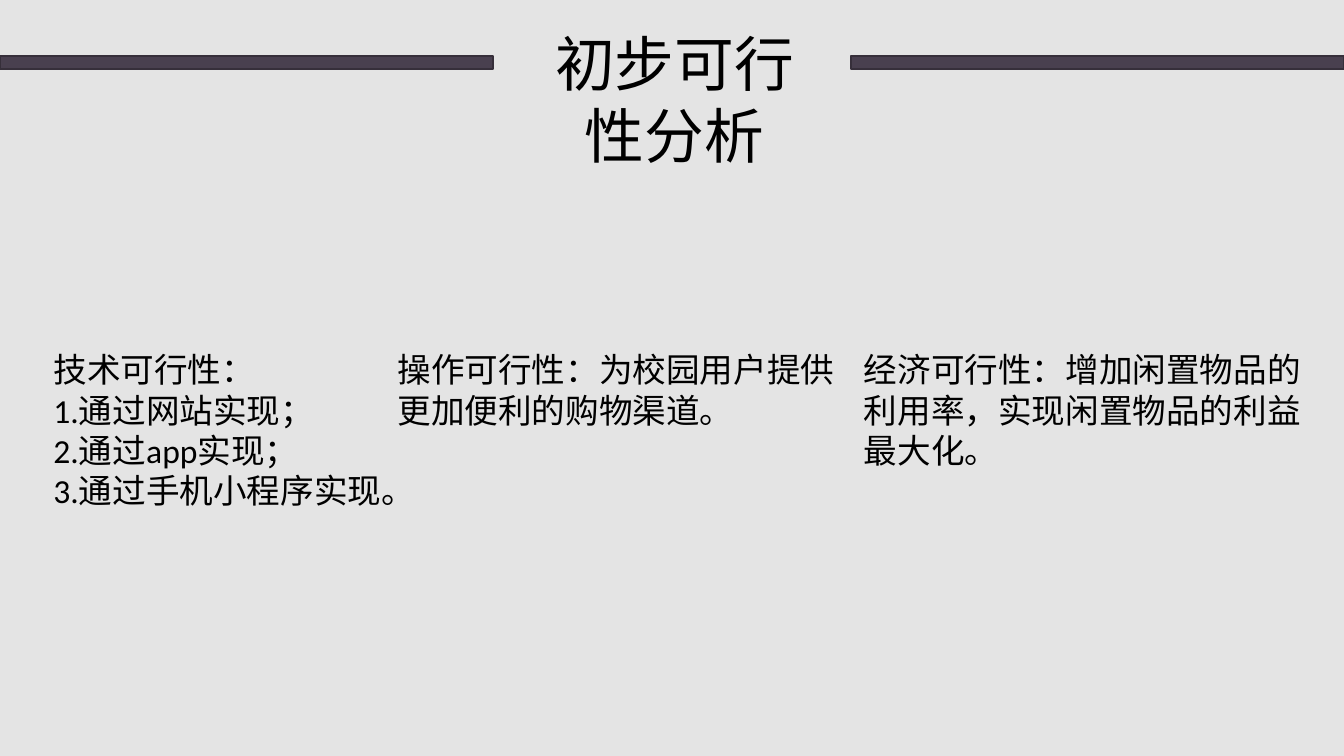
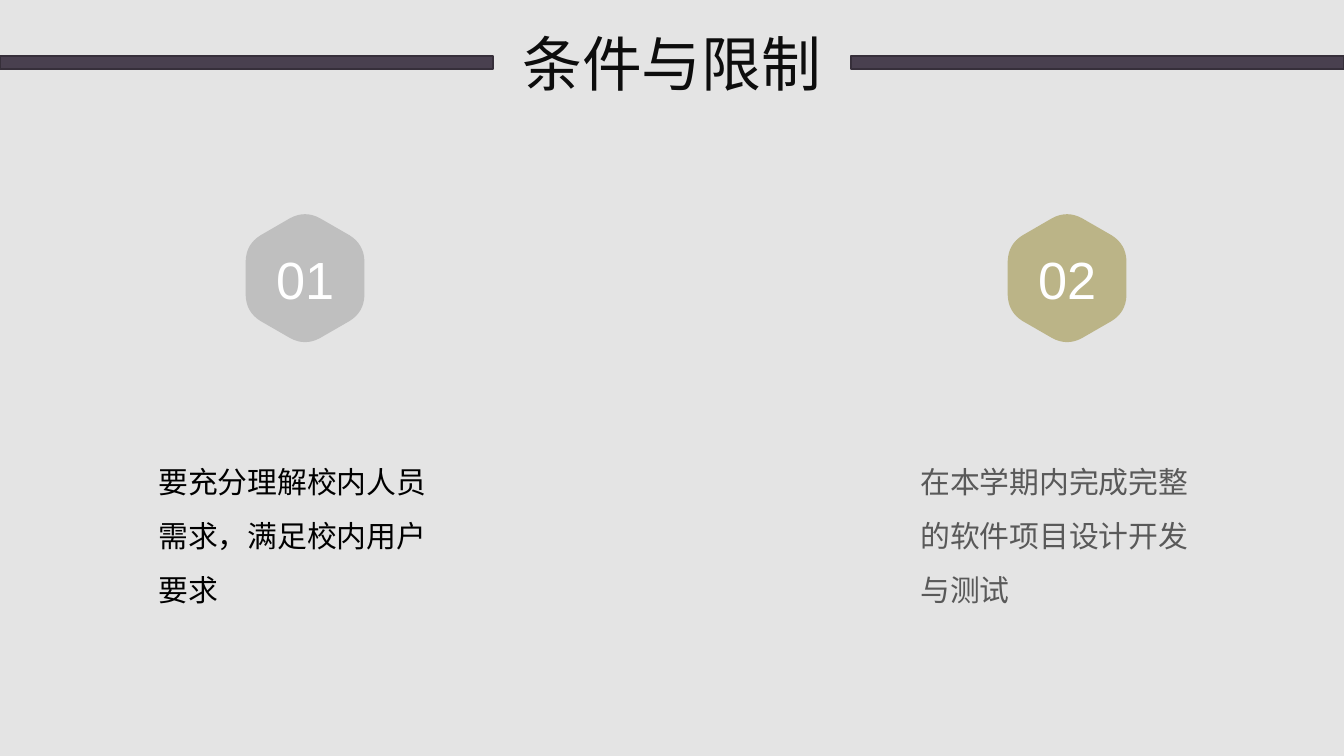
import math
from dataclasses import dataclass

from lxml import etree
from pptx import Presentation
from pptx import util as u
from pptx.dml.color import RGBColor
from pptx.enum import shapes, text
from pptx.oxml import ns


@dataclass(frozen=True)
class Theme:
    veil: str = "D9D9D9"
    veil_alpha: int = 70
    band: str = "49404F"
    band_edge: str = "362F3A"
    ink: str = "000000"
    soft_ink: str = "0D0D0D"
    muted: str = "595959"
    white: str = "FFFFFF"
    silver: str = "BFBFBF"
    khaki: str = "BBB487"
    title_font: str = "Noto Sans CJK SC"
    body_font: str = "Calibri"
    number_font: str = "Arial"
    title_size: int = 32
    number_size: int = 28
    body_size: int = 18
    detail_size: int = 16


THEME = Theme()
SLIDE_WIDTH = 10
SLIDE_HEIGHT = 5.625
BAND_WIDTH = 3.67
BADGE_RADIUS = 0.51
BADGE_ROUNDING = 0.22
BADGE_CENTER_Y = 2.07
DETAIL_WIDTH = 2.39
BADGE_OFFSET = 1.19


def write(frame, lines, font, size, color, **paragraph_format):
    for index, line in enumerate(lines):
        paragraph = frame.paragraphs[0] if index == 0 else frame.add_paragraph()
        paragraph.text = line
        for name, value in paragraph_format.items():
            setattr(paragraph, name, value)
        for run in paragraph.runs:
            for name, value in {"name": font, "size": u.Pt(size)}.items():
                setattr(run.font, name, value)
            run.font.color.rgb = RGBColor.from_string(color)


def add_text(slide, place, lines, font, size, color, **paragraph_format):
    frame = slide.shapes.add_textbox(*map(u.Inches, place)).text_frame
    frame.word_wrap = True
    frame.auto_size = text.MSO_AUTO_SIZE.SHAPE_TO_FIT_TEXT
    write(frame, lines, font, size, color, **paragraph_format)


def fill_plain(shape, color):
    shape.shadow.inherit = False
    shape.fill.solid()
    shape.fill.fore_color.rgb = RGBColor.from_string(color)


def add_rectangle(slide, place, color):
    rectangle = slide.shapes.add_shape(shapes.MSO_SHAPE.RECTANGLE,
                                       *map(u.Inches, place))
    fill_plain(rectangle, color)
    return rectangle


def add_veil(slide):
    veil = add_rectangle(slide, (0, 0, SLIDE_WIDTH, SLIDE_HEIGHT), THEME.veil)
    veil.line.fill.background()
    color = veil.element.xpath("./p:spPr/a:solidFill/a:srgbClr")[0]
    etree.SubElement(color, ns.qn("a:alpha"),
                     val=str(THEME.veil_alpha * 1000))


def add_titled_slide(deck, title, place, color):
    slide = deck.slides.add_slide(deck.slide_layouts[6])
    add_veil(slide)
    for left in (0, SLIDE_WIDTH - BAND_WIDTH):
        band = add_rectangle(slide, (left, 0.415, BAND_WIDTH, 0.1), THEME.band)
        band.line.color.rgb = RGBColor.from_string(THEME.band_edge)
        band.line.width = u.Pt(1)
    add_text(slide, place, [title], THEME.title_font, THEME.title_size, color,
             alignment=text.PP_ALIGN.CENTER)
    return slide


def rounded_hexagon(center_x, center_y):
    corner_distance = BADGE_RADIUS - BADGE_ROUNDING / math.cos(math.radians(30))
    for corner in range(-90, 270, 60):
        direction = math.radians(corner)
        arc_x = center_x + corner_distance * math.cos(direction)
        arc_y = center_y + corner_distance * math.sin(direction)
        for turn in (-30, 0, 30):
            angle = math.radians(corner + turn)
            yield (u.Inches(arc_x + BADGE_ROUNDING * math.cos(angle)),
                   u.Inches(arc_y + BADGE_ROUNDING * math.sin(angle)))


def curve_corners(badge):
    points = badge.element.xpath(".//a:path//a:pt")
    for start, middle, end in zip(points[0::3], points[1::3], points[2::3]):
        for axis in ("x", "y"):
            chord_middle = (int(start.get(axis)) + int(end.get(axis))) / 2
            middle.set(axis, str(round(2 * int(middle.get(axis)) - chord_middle)))
        middle_line, end_line = middle.getparent(), end.getparent()
        curve = etree.Element(ns.qn("a:quadBezTo"))
        middle_line.addprevious(curve)
        curve.extend([middle, end])
        for line in (middle_line, end_line):
            line.getparent().remove(line)


def add_badge(slide, center_x, number, color):
    start, *outline = rounded_hexagon(center_x, BADGE_CENTER_Y)
    builder = slide.shapes.build_freeform(*start)
    builder.add_line_segments(outline, close=False)
    badge = builder.convert_to_shape()
    curve_corners(badge)
    etree.SubElement(badge.element.xpath(".//a:path")[0], ns.qn("a:close"))
    fill_plain(badge, color)
    badge.line.fill.background()
    frame = badge.text_frame
    frame_format = {"margin_left": 0, "margin_top": 0, "margin_right": 0,
                    "margin_bottom": 0,
                    "vertical_anchor": text.MSO_ANCHOR.MIDDLE}
    for name, value in frame_format.items():
        setattr(frame, name, value)
    write(frame, [number], THEME.number_font, THEME.number_size, THEME.white,
          alignment=text.PP_ALIGN.CENTER)


def add_feasibility(deck):
    slide = add_titled_slide(deck, "初步可行性分析", (3.98, 0.15, 2.08, 1.18),
                             THEME.ink)
    aspects = [
        (0.3, 3.07, 1.62, ["技术可行性：", "1.通过网站实现；", "2.通过app实现；",
                           "3.通过手机小程序实现。"]),
        (2.86, 3.57, 1.01, ["操作可行性：为校园用户提供更加便利的购物渠道。"]),
        (6.33, 3.48, 1.31,
         ["经济可行性：增加闲置物品的利用率，实现闲置物品的利益最大化。"]),
    ]
    for left, width, height, lines in aspects:
        add_text(slide, (left, 2.55, width, height), lines, THEME.body_font,
                 THEME.body_size, THEME.ink)


def add_constraints(deck):
    slide = add_titled_slide(deck, "条件与限制", (3.76, 0.15, 2.48, 0.64),
                             THEME.soft_ink)
    constraints = [
        (1.08, "01", THEME.silver, "要充分理解校内人员需求，满足校内用户要求", THEME.ink),
        (6.75, "02", THEME.khaki, "在本学期内完成完整的软件项目设计开发与测试",
         THEME.muted),
    ]
    for left, number, badge_color, detail, detail_color in constraints:
        add_badge(slide, left + BADGE_OFFSET, number, badge_color)
        add_text(slide, (left, 3.27, DETAIL_WIDTH, 1.27), [detail],
                 THEME.body_font, THEME.detail_size, detail_color,
                 line_spacing=1.5)


def main():
    deck = Presentation()
    deck.slide_width = u.Inches(SLIDE_WIDTH)
    deck.slide_height = u.Inches(SLIDE_HEIGHT)
    add_feasibility(deck)
    add_constraints(deck)
    deck.save("out.pptx")


if __name__ == "__main__":
    main()
